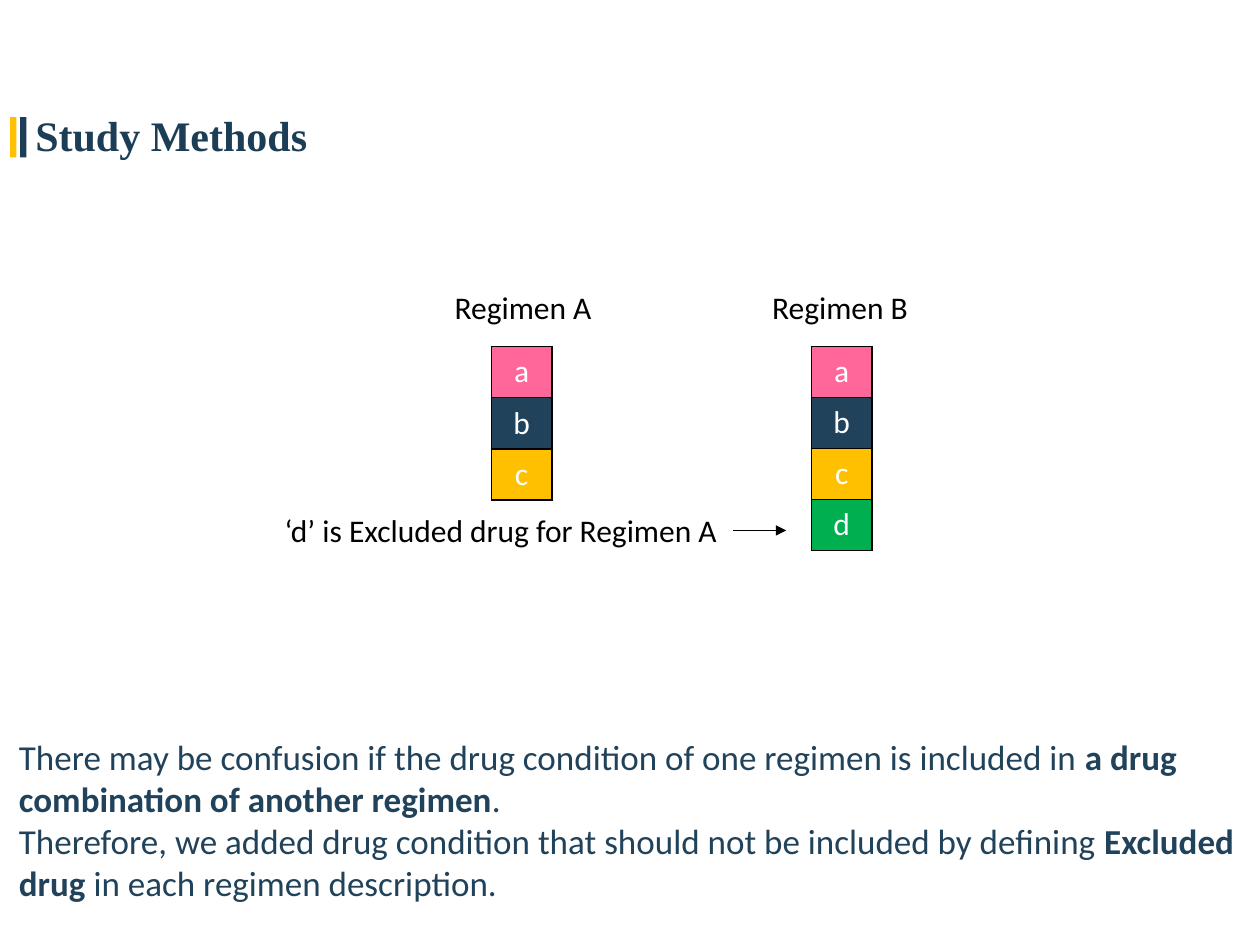
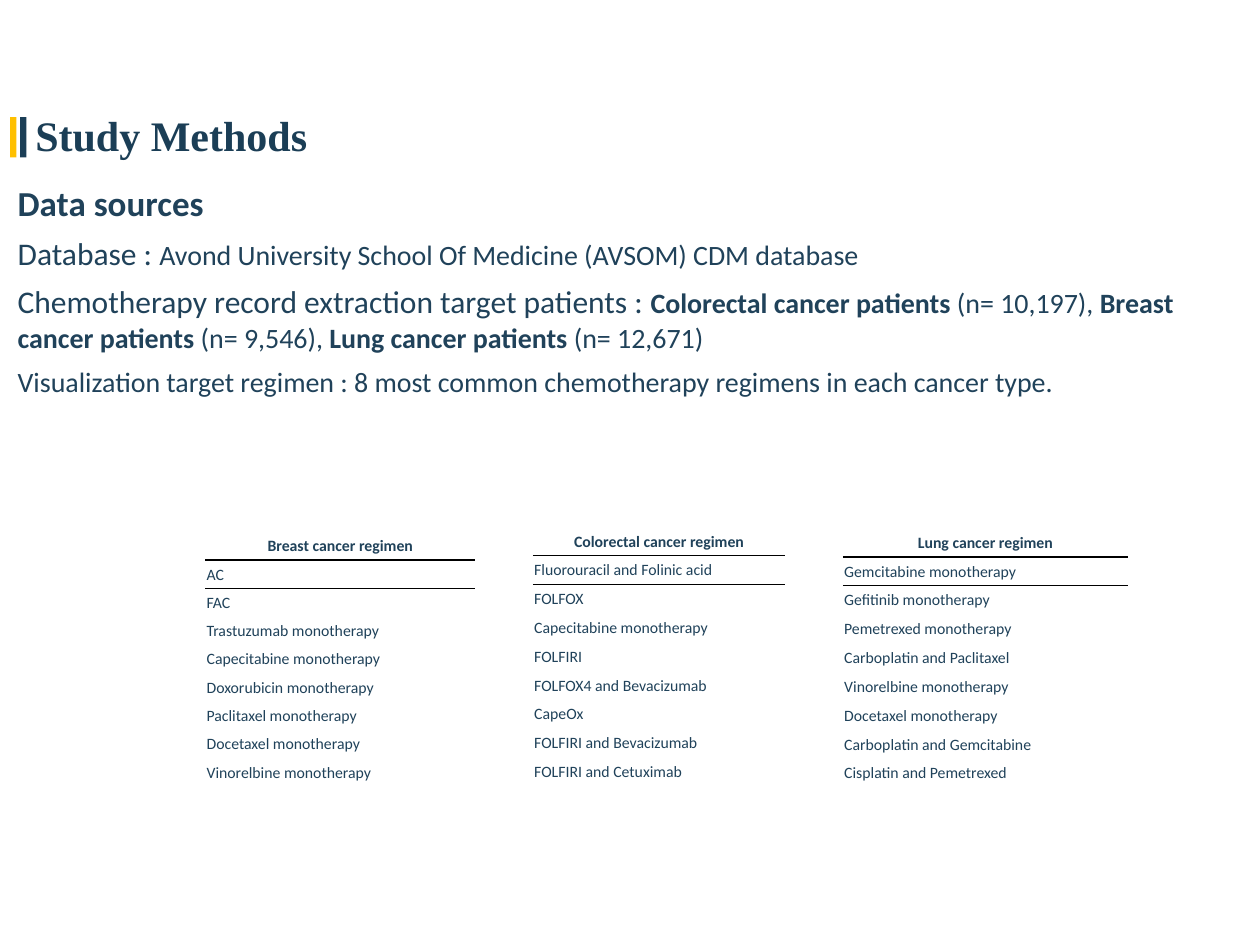
"""Builds two study-method slides: the excluded-drug rule and the data sources."""
import pptx
import pptx.dml.color
import pptx.enum.shapes
import pptx.enum.text
import pptx.oxml
import pptx.oxml.ns
import pptx.util
import lxml.etree

Pt = pptx.util.Pt
LEFT = pptx.enum.text.PP_ALIGN.LEFT
CENTER = pptx.enum.text.PP_ALIGN.CENTER
TOP = pptx.enum.text.MSO_ANCHOR.TOP
MIDDLE = pptx.enum.text.MSO_ANCHOR.MIDDLE
qn = pptx.oxml.ns.qn

NAVY, SLATE, GOLD = "1B3E56", "20425A", "FFC000"
PINK, GREEN, BLACK, WHITE = "FF6699", "00B050", "000000", "FFFFFF"
PLAIN_TABLE = "{2D5ABB26-0587-4C30-8999-92F81FD0307C}"
BOLD = {"bold": True}
LARGE = {"size": Pt(18)}

deck = pptx.Presentation()
deck.slide_width, deck.slide_height = pptx.util.Inches(10), pptx.util.Inches(7.5)
column, row = deck.slide_width / 100, deck.slide_height / 75


def paint(fill, colour):
    fill.solid()
    fill.fore_color.rgb = pptx.dml.color.RGBColor.from_string(colour)


def write(frame, paragraphs, colour, size, font="Calibri", align=LEFT, after=0, bold=False):
    for number, spans in enumerate(paragraphs):
        para = frame.add_paragraph() if number else frame.paragraphs[0]
        spacing = {"alignment": align, "space_before": Pt(0), "space_after": Pt(after)}
        for name, value in spacing.items():
            setattr(para, name, value)
        for text, changes in spans:
            span = para.add_run()
            span.text = text
            formats = {"name": font, "size": Pt(size), "bold": bold, **changes}
            for name, value in formats.items():
                setattr(span.font, name, value)
            paint(span.font.fill, colour)


rule_text = [
    [("There may be confusion if the drug condition of one regimen is included in ", {}),
     ("a drug combination of another regimen", BOLD), (". ", {})],
    [("Therefore, we added drug condition that should not be included by defining ", {}),
     ("Excluded drug ", BOLD), ("in each regimen description.", {})],
]
source_text = [
    [("Data sources", {"size": Pt(20), "bold": True})],
    [("Database : ", LARGE),
     ("Avond University School Of Medicine (AVSOM) CDM database", {})],
    [("Chemotherapy record extraction target patients : ", LARGE),
     ("Colorectal cancer patients", BOLD), (" (n= 10,197), ", {}),
     ("Breast cancer patients", BOLD), (" (n= 9,546), ", {}),
     ("Lung cancer patients", BOLD), (" (n= 12,671)", {})],
    [("Visualization target regimen : 8 most common chemotherapy regimens "
      "in each cancer type.", {})],
]

pages = []
for place, paragraphs, size, after in [
    ((0.5, 57.9, 99, 14.5), rule_text, 20, 0),
    ((0.4, 13.9, 96.4, 36.5), source_text, 16, 6),
]:
    page = deck.slides.add_slide(deck.slide_layouts[1])
    pages.append(page)
    title, body = page.placeholders
    for box, (left, top, width, height) in [(title, (1.8, 8.2, 27, 5)), (body, place)]:
        bounds = {"left": left * column, "top": top * row,
                  "width": width * column, "height": height * row}
        for name, value in bounds.items():
            setattr(box, name, round(value))
        box.text_frame.vertical_anchor = TOP
        box.text_frame.word_wrap = True
        box.text_frame.auto_size = pptx.enum.text.MSO_AUTO_SIZE.NONE
    write(title.text_frame, [[("Study Methods", {})]], NAVY, 24, "Times New Roman", bold=True)
    write(body.text_frame, paragraphs, SLATE, size, after=after)
    for para in body.text_frame.paragraphs:
        properties = para._p.get_or_add_pPr()
        properties.set("marL", "0")
        properties.set("indent", "0")
        lxml.etree.SubElement(properties, qn("a:buNone"))
    for left, colour in [(1.6, NAVY), (0.8, GOLD)]:
        bar = page.shapes.add_shape(
            pptx.enum.shapes.MSO_SHAPE.RECTANGLE, round(left * column), round(9.3 * row),
            round(0.5 * column), round(3.2 * row))
        bar.shadow.inherit = False
        paint(bar.fill, colour)
        bar.line.fill.background()

rule_page, source_page = pages
for text, left, top, width in [
    ("Regimen A", 35.1, 22.4, 14),
    ("Regimen B", 60.3, 22.4, 13),
    ("‘d’ is Excluded drug for Regimen A", 21.6, 40.1, 39.1),
]:
    label = rule_page.shapes.add_textbox(
        round(left * column), round(top * row), round(width * column), round(4 * row))
    label.text_frame.word_wrap = True
    write(label.text_frame, [[(text, {})]], BLACK, 18)

arrow = rule_page.shapes.add_connector(
    pptx.enum.shapes.MSO_CONNECTOR.STRAIGHT, round(58.2 * column), round(42.1 * row),
    round(62.4 * column), round(42.1 * row))
arrow.line.width = Pt(0.5)
paint(arrow.line.fill, BLACK)
lxml.etree.SubElement(arrow.line._get_or_add_ln(), qn("a:tailEnd"), type="triangle")
lxml.etree.SubElement(arrow._element.spPr, qn("a:effectLst"))

drugs = {"a": PINK, "b": SLATE, "c": GOLD, "d": GREEN}
breast = ["Breast cancer regimen", "AC", "FAC", "Trastuzumab monotherapy",
          "Capecitabine monotherapy", "Doxorubicin monotherapy", "Paclitaxel monotherapy",
          "Docetaxel monotherapy", "Vinorelbine monotherapy"]
colorectal = ["Colorectal cancer regimen", "Fluorouracil and Folinic acid", "FOLFOX",
              "Capecitabine monotherapy", "FOLFIRI", "FOLFOX4 and Bevacizumab", "CapeOx",
              "FOLFIRI and Bevacizumab", "FOLFIRI and Cetuximab"]
lung = ["Lung cancer regimen", "Gemcitabine monotherapy", "Gefitinib monotherapy",
        "Pemetrexed monotherapy", "Carboplatin and Paclitaxel", "Vinorelbine monotherapy",
        "Docetaxel monotherapy", "Carboplatin and Gemcitabine", "Cisplatin and Pemetrexed"]

for page, entries, left, top, width, height in [
    (rule_page, list("abc"), 39, 27.5, 4.8, 12.2),
    (rule_page, list("abcd"), 64.4, 27.5, 4.8, 16.2),
    (source_page, breast, 16.3, 42.2, 21.4, 20.2),
    (source_page, colorectal, 42.3, 41.8, 20, 20.6),
    (source_page, lung, 66.9, 41.9, 22.6, 20.6),
]:
    frame = page.shapes.add_table(
        len(entries), 1, round(left * column), round(top * row),
        round(width * column), round(height * row))
    table = frame.table
    table.first_row = table.horz_banding = False
    table._tbl.tblPr.find(qn("a:tableStyleId")).text = PLAIN_TABLE
    for number, entry in enumerate(entries):
        cell = table.cell(number, 0)
        colored = entry in drugs
        heading = number == 0 and not colored
        sides = "LRTB" if colored else {0: "B", 1: "T"}.get(number, "")
        for side in sides:
            border = lxml.etree.SubElement(
                cell._tc.get_or_add_tcPr(), qn("a:ln" + side), w=str(Pt(1)))
            solid = lxml.etree.SubElement(border, qn("a:solidFill"))
            lxml.etree.SubElement(solid, qn("a:srgbClr"), val=BLACK)
        if colored:
            paint(cell.fill, drugs[entry])
            write(cell.text_frame, [[(entry, {})]], WHITE, 18, align=CENTER)
        else:
            cell.fill.background()
            margin = round(0.1 * column)
            formats = {"vertical_anchor": MIDDLE, "margin_left": margin,
                       "margin_right": margin, "margin_top": margin, "margin_bottom": 0}
            for name, value in formats.items():
                setattr(cell, name, value)
            write(cell.text_frame, [[(entry, {})]], SLATE, 9,
                  align=CENTER if heading else LEFT, bold=heading)

deck.save("out.pptx")
